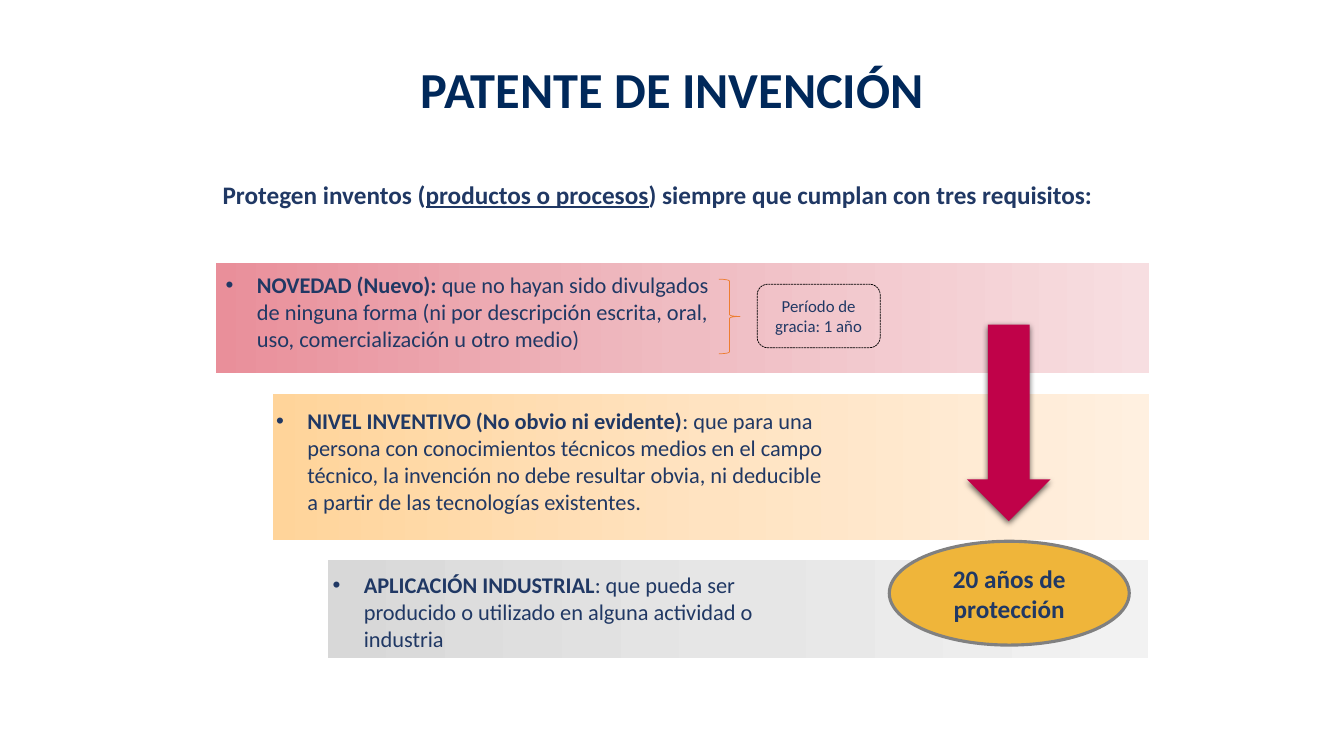
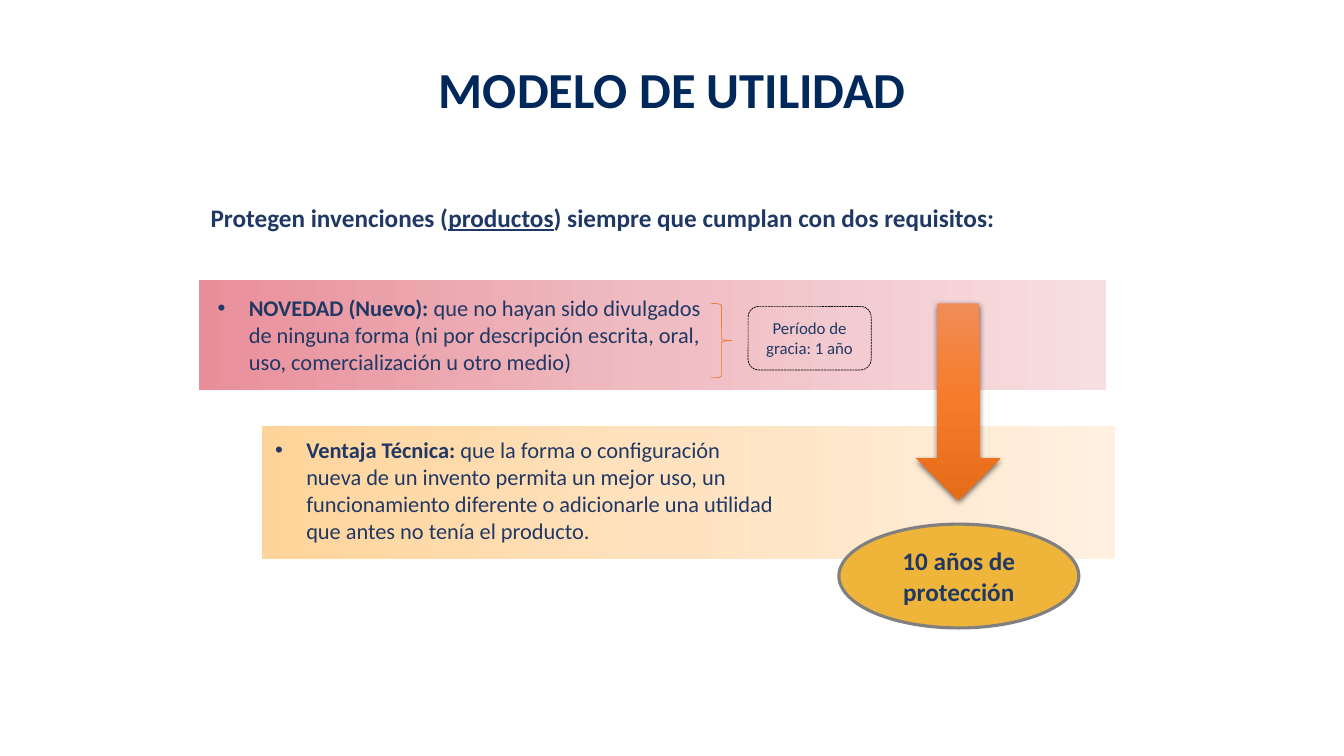
from copy import deepcopy

from lxml import etree
from pptx import Presentation
from pptx.dml.color import RGBColor
from pptx.enum.dml import MSO_LINE_DASH_STYLE as DASH
from pptx.enum.shapes import MSO_AUTO_SHAPE_TYPE as SHAPE
from pptx.enum.text import MSO_ANCHOR, PP_ALIGN
from pptx.oxml.ns import qn
from pptx.util import Inches, Pt

FONT = "Calibri"
TITLE_COLOR, TEXT_COLOR = "00285A", "203864"
PINK = ["E98F9A", "EFBCC2", "F7DEE1"]
PEACH = ["FFD49A", "FFE3C1", "FFF0E0"]
GRAY = ["D8D8D8", "E6E6E6", "F2F2F2"]
ORANGE = ["F18C57", "F67B28", "E56C19"]
CRIMSON, GOLD = ["C00249"], ["EFB53A"]
TITLE_BOX = (3.22, 0.53, 6.9, 0.71)
BULLET_INDENT = Inches(0.31)

NOVELTY = ("NOVEDAD (Nuevo):", " que no hayan sido divulgados de ninguna forma "
           "(ni por descripción escrita, oral, uso, comercialización u otro medio)")

# Each requirement: band box, band colours, text box, (bold term, explanation)
SLIDES = [
    {
        "title": "PATENTE DE INVENCIÓN",
        "intro_box": (2.11, 1.76, 9.26, 0.51),
        "intro": ("Protegen inventos (", "productos o procesos",
                  ") siempre que cumplan con tres requisitos:"),
        "requirements": [
            ((2.14, 2.61, 9.26, 1.09), PINK, (2.14, 2.64, 5, 0.91), NOVELTY),
            ((2.71, 3.91, 8.69, 1.45), PEACH, (2.64, 3.99, 5.7, 1.45),
             ("NIVEL INVENTIVO (No obvio ni evidente)",
              ": que para una persona con conocimientos técnicos medios en el campo técnico, "
              "la invención no debe resultar obvia, ni deducible a partir de las "
              "tecnologías existentes.")),
            ((3.25, 5.56, 8.14, 0.97), GRAY, (3.2, 5.62, 5.02, 0.91),
             ("APLICACIÓN INDUSTRIAL",
              ": que pueda ser producido o utilizado en alguna actividad o industria")),
        ],
        "brace": (7.13, 2.77), "grace": (7.51, 2.82),
        "arrow": (9.59, 3.22), "arrow_colors": CRIMSON,
        "term": (8.82, 5.37), "years": "20 años de protección",
    },
    {
        "title": "MODELO DE UTILIDAD",
        "intro_box": (1.99, 1.99, 9.42, 0.61),
        "intro": ("Protegen invenciones (", "productos",
                  ") siempre que cumplan con dos requisitos:"),
        "requirements": [
            ((1.97, 2.78, 9, 1.09), PINK, (2.06, 2.87, 5, 0.91), NOVELTY),
            ((2.6, 4.23, 8.46, 1.32), PEACH, (2.63, 4.28, 5.17, 1.18),
             ("Ventaja Técnica: ",
              "que la forma o configuración nueva de un invento permita un mejor uso, un "
              "funcionamiento diferente o adicionarle una utilidad que antes no tenía el "
              "producto.")),
        ],
        "brace": (7.05, 3.01), "grace": (7.42, 3.04),
        "arrow": (9.09, 3.01), "arrow_colors": ORANGE,
        "term": (8.32, 5.2), "years": "10 años de protección",
    },
]


def add_shape(slide, kind, box, colors=(), angle=0, line=None, width=0.5):
    """Add a preset shape with no fill, a solid fill or a three-colour gradient."""
    shape = slide.shapes.add_shape(kind, *map(Inches, box))
    shape.shadow.inherit = False
    if not colors:
        shape.fill.background()
    elif len(colors) == 1:
        shape.fill.solid()
        shape.fill.fore_color.rgb = RGBColor.from_string(colors[0])
    else:
        shape.fill.gradient()
        shape.fill.gradient_angle = angle
        stop_list = shape._element.spPr.find(".//" + qn("a:gsLst"))
        stop_list.insert(1, deepcopy(stop_list[0]))
        for stop, color, position in zip(shape.fill.gradient_stops, colors, (0, 0.5, 1)):
            stop.color.rgb = RGBColor.from_string(color)
            stop.position = position
    if line:
        shape.line.color.rgb = RGBColor.from_string(line)
        shape.line.width = Pt(width)
    else:
        shape.line.fill.background()
    return shape


def write(shape, runs, size, color=TEXT_COLOR, align=PP_ALIGN.LEFT, anchor=MSO_ANCHOR.TOP):
    """Fill a shape with one paragraph of (text, bold, underline) runs."""
    frame = shape.text_frame
    frame.word_wrap = True
    frame.vertical_anchor = anchor
    paragraph = frame.paragraphs[0]
    paragraph.alignment = align
    for text, bold, underline in runs:
        run = paragraph.add_run()
        run.text = text
        run.font.name = FONT
        run.font.size = Pt(size)
        run.font.bold = bold
        run.font.underline = underline
        run.font.color.rgb = RGBColor.from_string(color)
    return paragraph


presentation = Presentation()
presentation.slide_width = Inches(13.33)
presentation.slide_height = Inches(7.5)

for content in SLIDES:
    slide = presentation.slides.add_slide(presentation.slide_layouts[6])

    title = slide.shapes.add_textbox(*map(Inches, TITLE_BOX))
    write(title, [(content["title"], True, False)], 36, TITLE_COLOR, PP_ALIGN.CENTER)

    intro = slide.shapes.add_textbox(*map(Inches, content["intro_box"]))
    before, underlined, after = content["intro"]
    paragraph = write(intro, [(before, True, False), (underlined, True, True),
                              (after, True, False)], 18)
    paragraph.line_spacing = 0.9

    for band_box, colors, text_box, (term, explanation) in content["requirements"]:
        add_shape(slide, SHAPE.RECTANGLE, band_box, colors)
        requirement = slide.shapes.add_textbox(*map(Inches, text_box))
        paragraph = write(requirement, [(term, True, False), (explanation, False, False)], 16)
        properties = paragraph._p.get_or_add_pPr()
        properties.set("marL", str(BULLET_INDENT))
        properties.set("indent", str(-BULLET_INDENT))
        etree.SubElement(properties, qn("a:buFont"), typeface="Arial")
        etree.SubElement(properties, qn("a:buChar"), char="•")

    add_shape(slide, SHAPE.RIGHT_BRACE, (*content["brace"], 0.21, 0.74), line="ED7D31")

    grace = add_shape(slide, SHAPE.ROUNDED_RECTANGLE, (*content["grace"], 1.22, 0.63),
                      line="000000")
    grace.line.dash_style = DASH.SQUARE_DOT
    write(grace, [("Período de gracia: 1 año", False, False)], 12,
          align=PP_ALIGN.CENTER, anchor=MSO_ANCHOR.MIDDLE)

    arrow = add_shape(slide, SHAPE.DOWN_ARROW, (*content["arrow"], 0.83, 1.95),
                      content["arrow_colors"], angle=270)
    effects = arrow._element.spPr.find(qn("a:effectLst"))
    shadow = etree.SubElement(effects, qn("a:outerShdw"), blurRad=str(Pt(4.5)),
                              dist=str(Pt(1.5)), dir="5400000", rotWithShape="0")
    shadow_color = etree.SubElement(shadow, qn("a:srgbClr"), val="000000")
    etree.SubElement(shadow_color, qn("a:alpha"), val="63000")

    duration = add_shape(slide, SHAPE.OVAL, (*content["term"], 2.38, 1.03), GOLD,
                         line="808080", width=2.25)
    write(duration, [(content["years"], True, False)], 18,
          align=PP_ALIGN.CENTER, anchor=MSO_ANCHOR.MIDDLE)

presentation.save("out.pptx")
